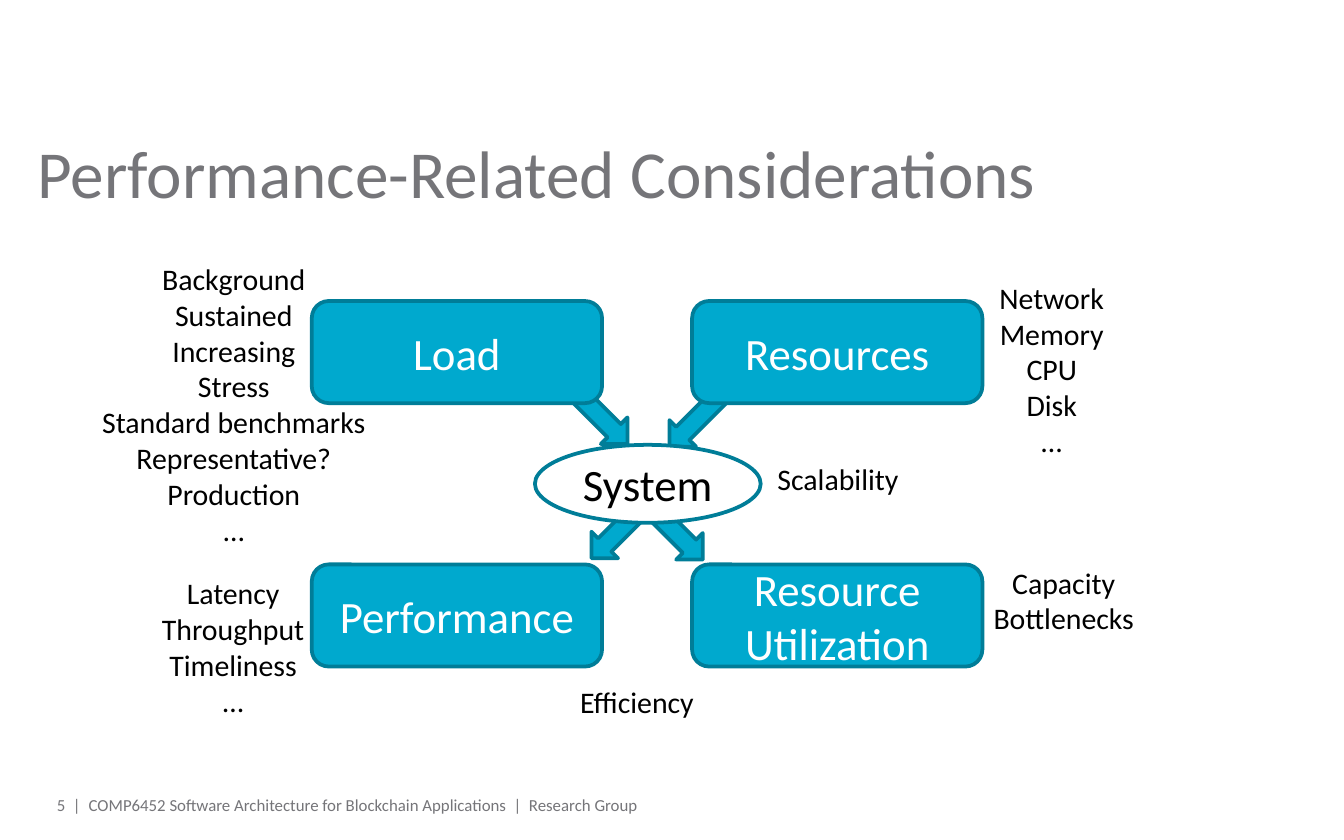
from pptx import Presentation
from pptx.dml.color import RGBColor
from pptx.enum.shapes import MSO_SHAPE
from pptx.enum.text import MSO_ANCHOR, MSO_AUTO_SIZE, PP_ALIGN
from pptx.util import Inches, Pt

COLOURS = {
    "fill": "00A9CE",
    "edge": "007D98",
    "grey": "757579",
    "black": "000000",
    "white": "FFFFFF",
}
FONT = "Calibri"

COLUMNS = (2.32, 5.15)
ROWS = (2.24, 4.2)
NODE_SIZE = (2.16, 0.76)
NODES = (("Load", "Resources"), ("Performance", "Resource\vUtilization"))

ARROW_SIZE = (0.69, 0.28)
ARROWS = ((4.88, 2.94, 135), (4.08, 2.92, 45), (4.3, 3.77, 135), (4.64, 3.78, 45))

NOTES = (
    ((4.21, 5.04, 1.06, 0.37), ["Efficiency"]),
    ((7.33, 2.03, 0.99, 1.45), ["Network", "Memory", "CPU", "Disk", "…"]),
    ((1.1, 4.23, 1.27, 1.18), ["Latency", "Throughput", "Timeliness", "…"]),
    ((5.68, 3.38, 1.11, 0.37), ["Scalability"]),
    ((7.28, 4.15, 1.27, 0.64), ["Capacity", "Bottlenecks"]),
    ((0.65, 1.89, 2.18, 2.26), ["Background", "Sustained", "Increasing", "Stress",
                                "Standard benchmarks", "Representative?", "Production", "…"]),
)


def colour(name):
    return RGBColor.from_string(COLOURS[name])


def write_lines(frame, lines, size, ink, align):
    for index, line in enumerate(lines):
        paragraph = frame.add_paragraph() if index else frame.paragraphs[0]
        paragraph.text = line
        paragraph.alignment = align
        paragraph.font.name = FONT
        paragraph.font.size = Pt(size)
        paragraph.font.color.rgb = colour(ink)


def add_figure(page, kind, area, fill="fill"):
    figure = page.shapes.add_shape(kind, *map(Inches, area))
    figure.shadow.inherit = False
    figure.fill.solid()
    figure.fill.fore_color.rgb = colour(fill)
    figure.line.color.rgb = colour("edge")
    figure.line.width = Pt(2)
    return figure


def add_node(page, kind, area, label, fill="fill", ink="white"):
    frame = add_figure(page, kind, area, fill).text_frame
    frame.word_wrap = True
    frame.vertical_anchor = MSO_ANCHOR.MIDDLE
    write_lines(frame, [label], 24, ink, PP_ALIGN.CENTER)


def add_plain_text(page, area, text, size, anchor, align=PP_ALIGN.LEFT):
    frame = page.shapes.add_textbox(*map(Inches, area)).text_frame
    frame.word_wrap = True
    frame.vertical_anchor = anchor
    frame.margin_left = frame.margin_right = Inches(0)
    frame.margin_top = frame.margin_bottom = Inches(0)
    write_lines(frame, [text], size, "grey", align)


def add_note(page, area, lines):
    frame = page.shapes.add_textbox(*map(Inches, area)).text_frame
    frame.word_wrap = False
    frame.auto_size = MSO_AUTO_SIZE.SHAPE_TO_FIT_TEXT
    write_lines(frame, lines, 16, "black", PP_ALIGN.CENTER)


def add_diagram(page):
    for left, top, angle in ARROWS:
        arrow = add_figure(page, MSO_SHAPE.RIGHT_ARROW, (left, top, *ARROW_SIZE))
        arrow.rotation = angle
    for top, labels in zip(ROWS, NODES):
        for left, label in zip(COLUMNS, labels):
            add_node(page, MSO_SHAPE.ROUNDED_RECTANGLE, (left, top, *NODE_SIZE), label)
    add_node(page, MSO_SHAPE.OVAL, (3.98, 3.31, 1.68, 0.58), "System", "white", "black")
    for area, lines in NOTES:
        add_note(page, area, lines)


def add_footer(page, left, top):
    add_plain_text(page, (left + 0.38, top, 6.65, 0.11),
                   "COMP6452 Software Architecture for Blockchain Applications  |  Research Group",
                   9, MSO_ANCHOR.MIDDLE)
    add_plain_text(page, (left, top, 0.32, 0.12), "5  |", 9, MSO_ANCHOR.MIDDLE, PP_ALIGN.RIGHT)


def main():
    deck = Presentation()
    deck.slide_width = Inches(10)
    deck.slide_height = Inches(6.25)
    page = deck.slides.add_slide(deck.slide_layouts[6])
    add_plain_text(page, (0.28, 0.98, 9.45, 0.78), "Performance-Related Considerations",
                   36, MSO_ANCHOR.TOP)
    add_diagram(page)
    add_footer(page, 0.28, 5.93)
    deck.save("out.pptx")


if __name__ == "__main__":
    main()
